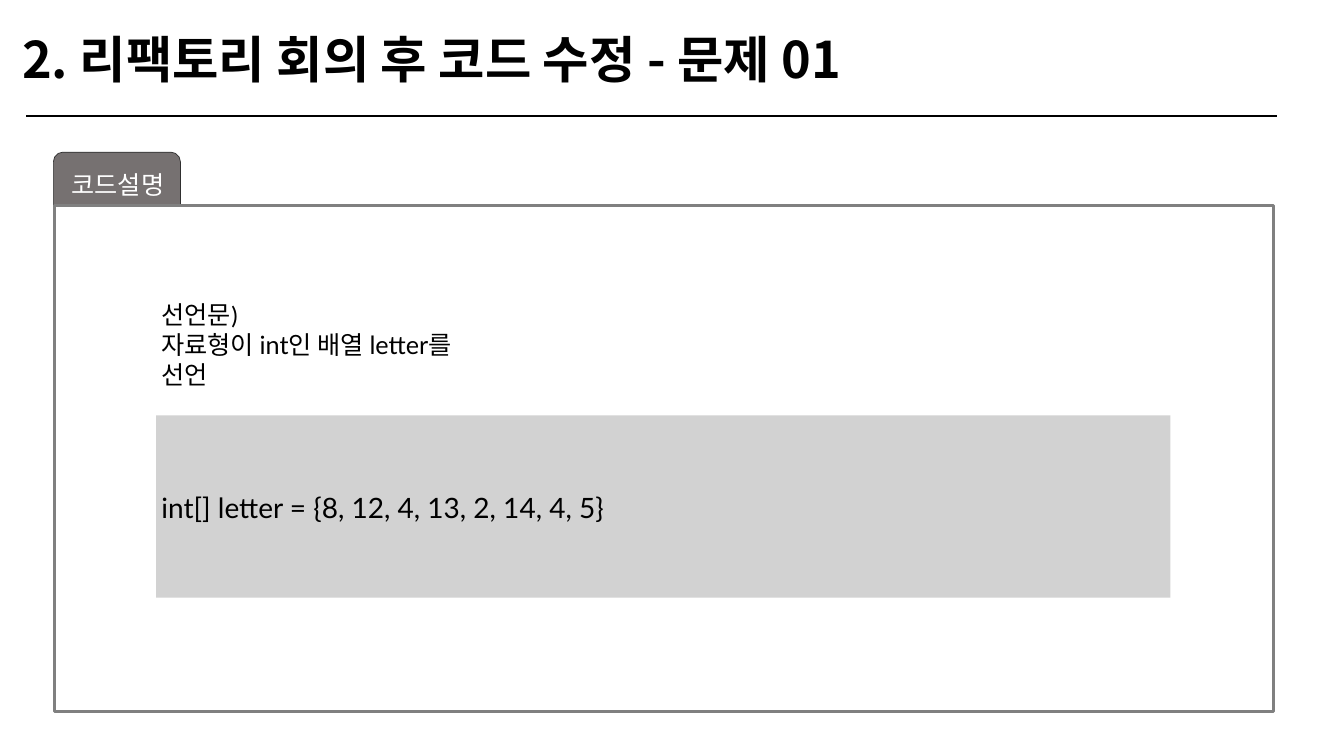
import pptx
import pptx.util
import pptx.dml.color
import pptx.enum.shapes
import pptx.enum.text
import pptx.oxml.ns

SHAPE = pptx.enum.shapes.MSO_SHAPE
ALIGN = pptx.enum.text.PP_ALIGN
ANCHOR = pptx.enum.text.MSO_ANCHOR
COLORS = {"ink": "000000", "paper": "FFFFFF", "tab": "767171",
          "tab_edge": "2F2F2F", "frame": "808080", "code": "D2D2D2"}
BODY, HEAD, NOTE = "Lato", "Noto Sans CJK KR", "Calibri"
WIDTH, HEIGHT = 13.33, 7.5
COLS, ROWS = 1333, 750  # grid of hundredths of an inch


def rgb(name):
    return pptx.dml.color.RGBColor.from_string(COLORS[name])


def add_text(p, text, size=18, font=BODY, color="ink", bold=False, align=None):
    p.alignment = align
    r = p.add_run()
    r.text = text
    r.font.size = pptx.util.Pt(size)
    r.font.name = font
    r.font.bold = bold
    r.font.color.rgb = rgb(color)


class Slide:
    """Holds the grid and the slide being drawn."""

    def __init__(self, prs):
        self.s = prs.slides.add_slide(prs.slide_layouts[6])
        self.col = prs.slide_width / COLS
        self.row = prs.slide_height / ROWS

    def place(self, col, row, cols, rows):
        return (round(col * self.col), round(row * self.row),
                round(cols * self.col), round(rows * self.row))

    def box(self, at, fill, kind=SHAPE.RECTANGLE, line=None, width=1, radius=None):
        sp = self.s.shapes.add_shape(kind, *self.place(*at))
        sp.shadow.inherit = False
        sp.fill.solid()
        sp.fill.fore_color.rgb = rgb(fill)
        if line:
            sp.line.color.rgb = rgb(line)
            sp.line.width = pptx.util.Pt(width)
        else:
            sp.line.fill.background()
        if radius is not None:
            sp.adjustments[0] = radius

    def text(self, at, *paragraphs, anchor=ANCHOR.TOP, wrap=True):
        tf = self.s.shapes.add_textbox(*self.place(*at)).text_frame
        tf.word_wrap = wrap
        tf.vertical_anchor = anchor
        inset = pptx.util.Inches(0.05)
        tf.margin_left = tf.margin_right = inset
        tf.margin_top = tf.margin_bottom = inset
        for i, (text, style) in enumerate(paragraphs):
            p = tf.add_paragraph() if i else tf.paragraphs[0]
            add_text(p, text, **style)

    def rule(self, col, row, cols, color, width):
        x, y, w, _ = self.place(col, row, cols, 0)
        line = self.s.shapes.add_connector(
            pptx.enum.shapes.MSO_CONNECTOR.STRAIGHT, x, y, x + w, y)
        line.line.color.rgb = rgb(color)
        line.line.width = pptx.util.Pt(width)
        sp_pr = line._element.spPr
        sp_pr.append(sp_pr.makeelement(pptx.oxml.ns.qn("a:effectLst"), {}))


def main():
    prs = pptx.Presentation()
    prs.slide_width = pptx.util.Inches(WIDTH)
    prs.slide_height = pptx.util.Inches(HEIGHT)
    s = Slide(prs)

    # Tab and framed panel
    s.box((53, 151, 126, 63), "tab", SHAPE.ROUNDED_RECTANGLE,
          line="tab_edge", width=0.5, radius=0.15)
    s.text((63, 163, 108, 40),
           ("코드설명", dict(color="paper", align=ALIGN.CENTER)),
           anchor=ANCHOR.MIDDLE)
    s.box((54, 204, 1209, 502), "paper", SHAPE.ROUNDED_RECTANGLE,
          line="frame", width=2, radius=0)

    # Title and rule
    s.text((17, 23, 930, 71),
           ("2. 리팩토리 회의 후 코드 수정 - 문제 01",
            dict(size=36, font=HEAD, bold=True)), wrap=False)
    s.rule(26, 115, 1241, "ink", 1.25)

    # Explanation
    s.text((155, 292, 346, 71),
           ("선언문)", dict(font=NOTE)),
           ("자료형이 int인 배열 letter를 선언", {}))

    # Code
    s.box((155, 412, 1006, 181), "code")
    s.text((155, 481, 1006, 44),
           ("int[] letter = {8, 12, 4, 13, 2, 14, 4, 5}",
            dict(size=20, align=ALIGN.JUSTIFY)),
           anchor=ANCHOR.MIDDLE)

    prs.save("out.pptx")


if __name__ == "__main__":
    main()
